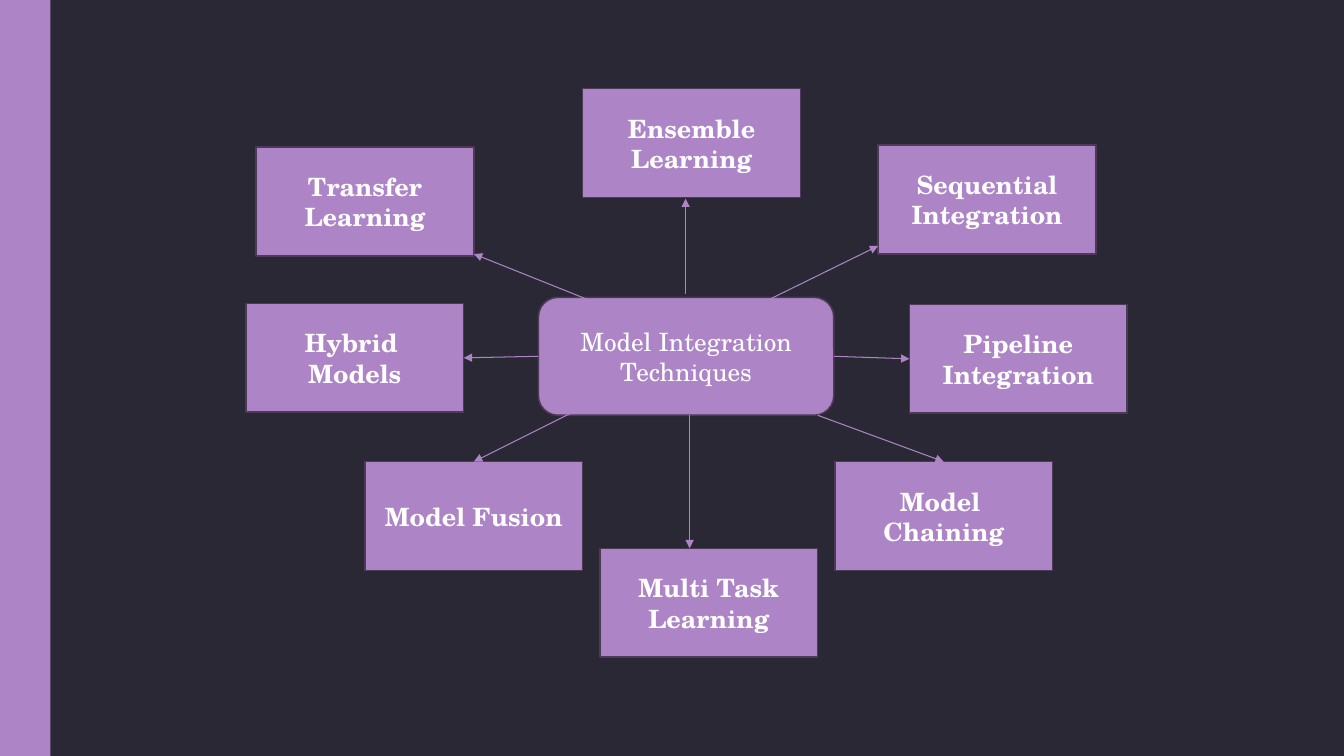
import dataclasses
import typing

import lxml.etree
import pptx
import pptx.dml.color
import pptx.enum.shapes
import pptx.enum.text
import pptx.oxml.ns
import pptx.util

PX = 9144  # EMU per px, 100 px to the inch
COLORS = {"night": "292834", "lilac": "AD84C6", "plum": "4C3A57", "white": "FFFFFF"}
FONT = "TeX Gyre Schola"
SLIDE_W, SLIDE_H = 1333, 750
BOX_W, BOX_H = 216, 108
TOP, LEFT, BOTTOM, RIGHT = range(4)
KINDS = pptx.enum.shapes.MSO_SHAPE


@dataclasses.dataclass(frozen=True)
class Technique:
    """A box and its arrow; a side is given where the arrow joins its middle."""
    text: str
    left: int
    top: int
    start: tuple[int, int]
    tip: tuple[int, int]
    hub_side: typing.Optional[int] = None
    box_side: typing.Optional[int] = None


TECHNIQUES = [
    Technique("Transfer Learning", 254, 146, (595, 302), (470, 252)),
    Technique("Hybrid \nModels", 244, 301, (534, 354), (460, 355), LEFT, RIGHT),
    Technique("Ensemble Learning", 578, 88, (680, 292), (680, 197)),
    Technique("Multi Task Learning", 595, 544, (684, 412), (684, 544)),
    Technique("Model Fusion", 362, 458, (570, 408), (470, 458), box_side=TOP),
    Technique("Model \nChaining", 828, 458, (811, 412), (936, 458), box_side=TOP),
    Technique("Sequential Integration", 871, 144, (757, 300), (871, 244)),
    Technique("Pipeline Integration", 902, 302, (828, 354), (902, 356), RIGHT, LEFT),
]


def rgb(name: str) -> pptx.dml.color.RGBColor:
    return pptx.dml.color.RGBColor.from_string(COLORS[name])


def add_block(slide, kind, left: int, top: int, width: int, height: int,
              outline: typing.Optional[str] = None):
    block = slide.shapes.add_shape(kind, left * PX, top * PX, width * PX, height * PX)
    block.shadow.inherit = False
    block.fill.solid()
    block.fill.fore_color.rgb = rgb("lilac")
    if outline:
        block.line.color.rgb = rgb(outline)
        block.line.width = pptx.util.Pt(1.1)
    else:
        block.line.fill.background()
    return block


def write(block, text: str, *, size: int = 18, bold: bool = False,
          color: str = "white") -> None:
    frame = block.text_frame
    frame.word_wrap = True
    frame.vertical_anchor = pptx.enum.text.MSO_ANCHOR.MIDDLE
    frame.text = text
    for paragraph in frame.paragraphs:
        paragraph.alignment = pptx.enum.text.PP_ALIGN.CENTER
        for run in paragraph.runs:
            run.font.name = FONT
            run.font.size = pptx.util.Pt(size)
            run.font.bold = bold
            run.font.color.rgb = rgb(color)


def add_arrow(slide, hub, box, technique: Technique) -> None:
    ends = [length * PX for length in technique.start + technique.tip]
    arrow = slide.shapes.add_connector(pptx.enum.shapes.MSO_CONNECTOR.STRAIGHT, *ends)
    if technique.hub_side is not None:
        arrow.begin_connect(hub, technique.hub_side)
    if technique.box_side is not None:
        arrow.end_connect(box, technique.box_side)
    arrow.line.color.rgb = rgb("lilac")
    arrow.line.width = pptx.util.Pt(0.75)
    qn = pptx.oxml.ns.qn
    properties = arrow.element.spPr
    lxml.etree.SubElement(properties.find(qn("a:ln")), qn("a:tailEnd"), type="triangle")
    lxml.etree.SubElement(properties, qn("a:effectLst"))


def main() -> None:
    deck = pptx.Presentation()
    deck.slide_width, deck.slide_height = SLIDE_W * PX, SLIDE_H * PX
    slide = deck.slides.add_slide(deck.slide_layouts[6])
    slide.background.fill.solid()
    slide.background.fill.fore_color.rgb = rgb("night")

    add_block(slide, KINDS.RECTANGLE, 0, 0, 50, SLIDE_H)
    hub = add_block(slide, KINDS.ROUNDED_RECTANGLE, 534, 295, 293, 117, "plum")
    write(hub, "Model Integration Techniques")

    boxes = []
    for technique in TECHNIQUES:
        box = add_block(slide, KINDS.RECTANGLE, technique.left, technique.top,
                        BOX_W, BOX_H, "plum")
        write(box, technique.text, bold=True)
        boxes.append(box)
    for technique, box in zip(TECHNIQUES, boxes):
        add_arrow(slide, hub, box, technique)

    deck.save("out.pptx")


if __name__ == "__main__":
    main()
